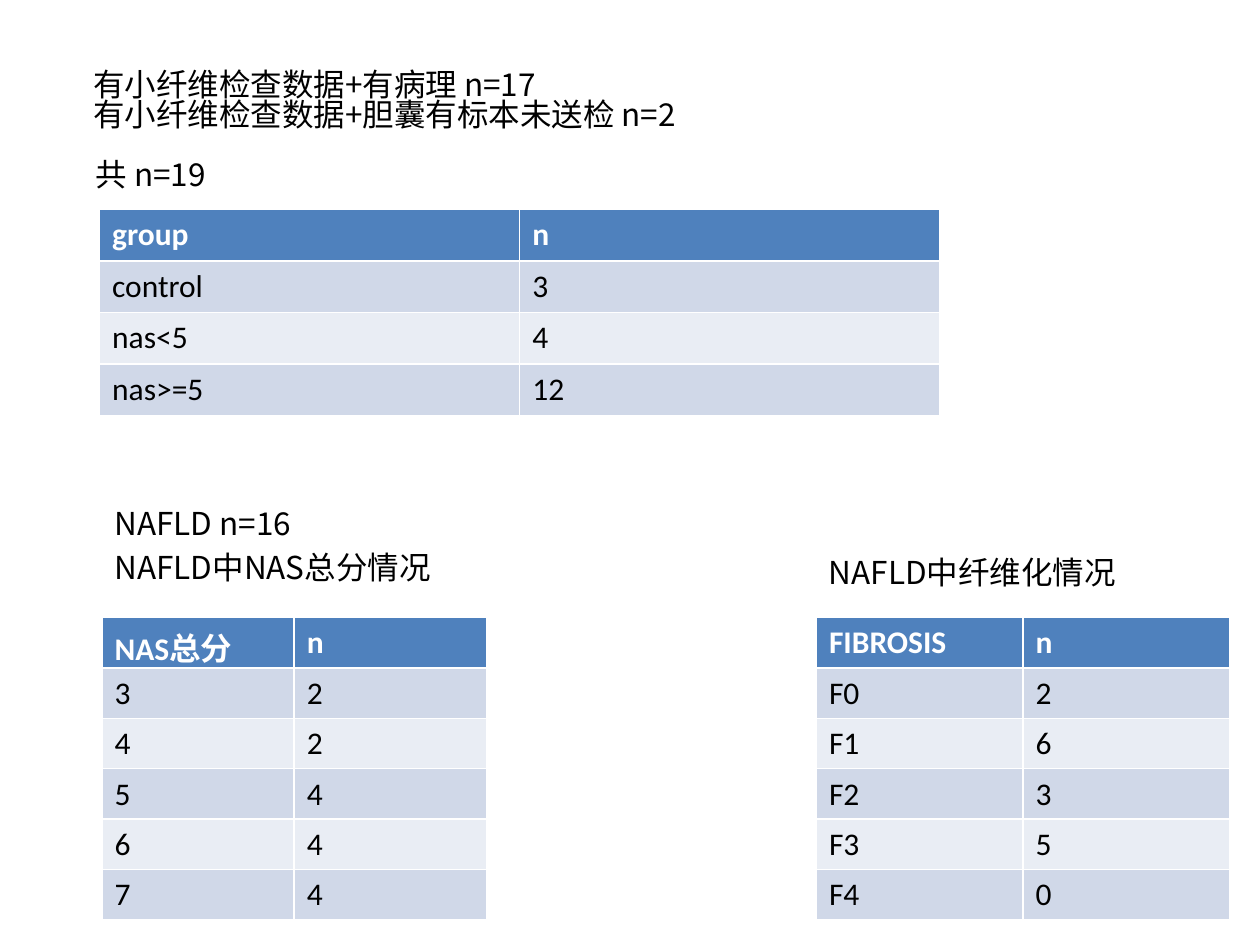
import pptx
import pptx.util
import pptx.dml.color
import pptx.enum.text
import pptx.oxml.ns
import lxml.etree

Inches = pptx.util.Inches
RGB = pptx.dml.color.RGBColor
BLACK, WHITE = RGB(0, 0, 0), RGB(255, 255, 255)
HEADER = RGB(0x4F, 0x81, 0xBD)
BANDS = RGB(0xD0, 0xD8, 0xE8), RGB(0xE9, 0xED, 0xF4)
CJK, LATIN = "Noto Sans CJK SC", "Calibri"

TITLE = "有小纤维检查数据+有病理 n=17\n有小纤维检查数据+胆囊有标本未送检 n=2"
# text, left, top, width, wrap
LABELS = [
    ("共 n=19", 0.66, 1.18, 1.17, False),
    ("NAFLD n=16", 0.81, 3.95, 2.17, True),
    ("NAFLD中NAS总分情况", 0.81, 4.3, 3.05, True),
    ("NAFLD中纤维化情况", 6.48, 4.34, 3.08, True),
]
# left, top, width, row height, rows
TABLES = [
    (0.79, 1.66, 6.67, 0.41,
     [("group", "n"), ("control", "3"), ("nas<5", "4"), ("nas>=5", "12")]),
    (0.81, 4.9, 3.05, 0.4,
     [("NAS总分", "n"), ("3", "2"), ("4", "2"), ("5", "4"), ("6", "4"), ("7", "4")]),
    (6.48, 4.9, 3.28, 0.4,
     [("FIBROSIS", "n"), ("F0", "2"), ("F1", "6"), ("F2", "3"), ("F3", "5"), ("F4", "0")]),
]


def format_text(tf, font, color=BLACK, bold=False):
    """Give every run its font, size and colour."""
    for p in tf.paragraphs:
        for r in p.runs:
            r.font.name, r.font.size, r.font.bold = font, pptx.util.Pt(18), bold
            r.font.color.rgb = color
            ea = lxml.etree.Element(pptx.oxml.ns.qn("a:ea"), typeface=CJK)
            r.font._element.find(pptx.oxml.ns.qn("a:latin")).addnext(ea)


def add_title(s):
    """Fill and place the title placeholder."""
    sp = s.shapes.title
    sp.left, sp.top, sp.width, sp.height = map(Inches, (0.64, 0.46, 8.76, 0.71))
    tf = sp.text_frame
    tf.text = TITLE
    tf.vertical_anchor = pptx.enum.text.MSO_ANCHOR.MIDDLE
    tf.auto_size = pptx.enum.text.MSO_AUTO_SIZE.NONE
    for p in tf.paragraphs:
        p.alignment = pptx.enum.text.PP_ALIGN.LEFT
        p.line_spacing = 0.8
    format_text(tf, CJK)


def add_label(s, text, left, top, width, wrap):
    """Add a one-line text box."""
    sp = s.shapes.add_textbox(*map(Inches, (left, top, width, 0.4)))
    tf = sp.text_frame
    tf.text, tf.word_wrap = text, wrap
    format_text(tf, CJK)


def add_banded_table(s, left, top, width, row_height, rows):
    """Add a table with a header row and banded body rows."""
    box = map(Inches, (left, top, width, row_height * len(rows)))
    table = s.shapes.add_table(len(rows), len(rows[0]), *box).table
    for i, row in enumerate(rows):
        for j, text in enumerate(row):
            cell = table.cell(i, j)
            cell.text = text
            cell.fill.solid()
            cell.fill.fore_color.rgb = BANDS[(i - 1) % 2] if i else HEADER
            format_text(cell.text_frame, LATIN, BLACK if i else WHITE, i == 0)


prs = pptx.Presentation()
prs.slide_width, prs.slide_height = Inches(10), Inches(7.5)
s = prs.slides.add_slide(prs.slide_layouts[5])
add_title(s)
for label in LABELS:
    add_label(s, *label)
for table in TABLES:
    add_banded_table(s, *table)
prs.save("out.pptx")
